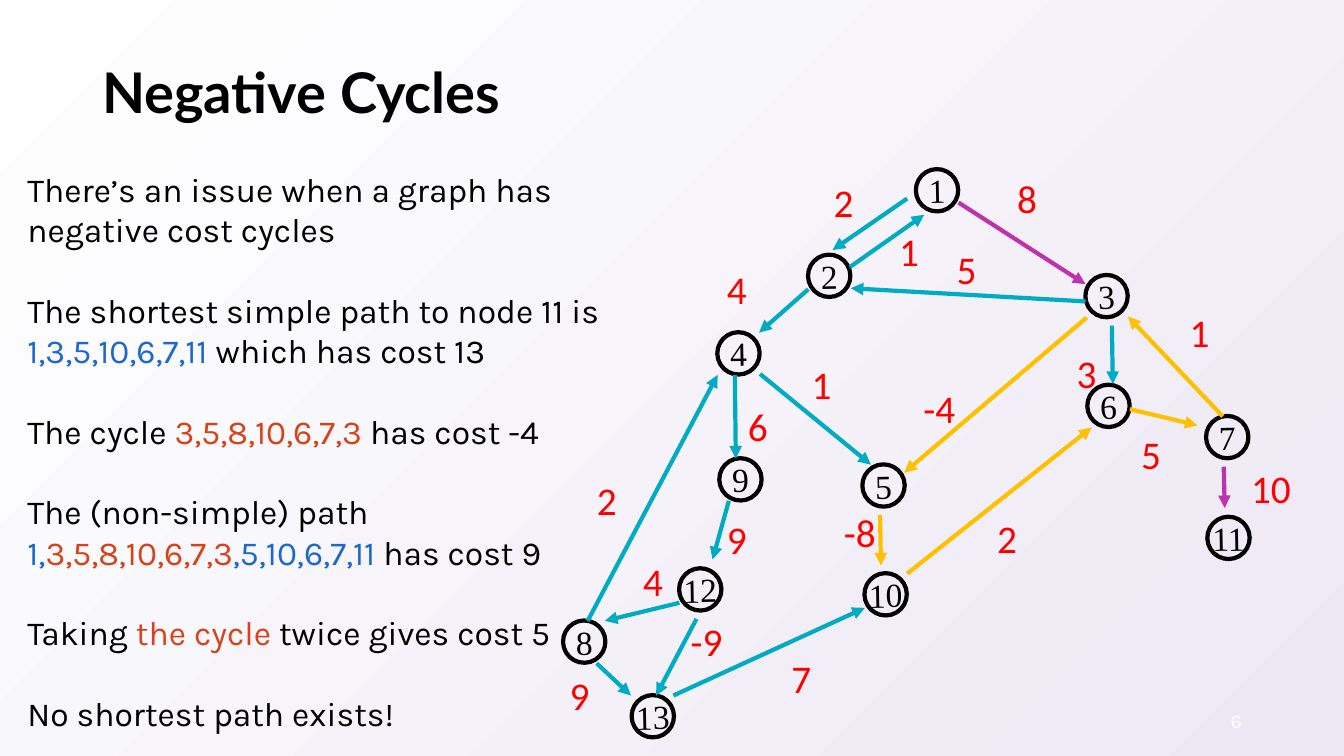
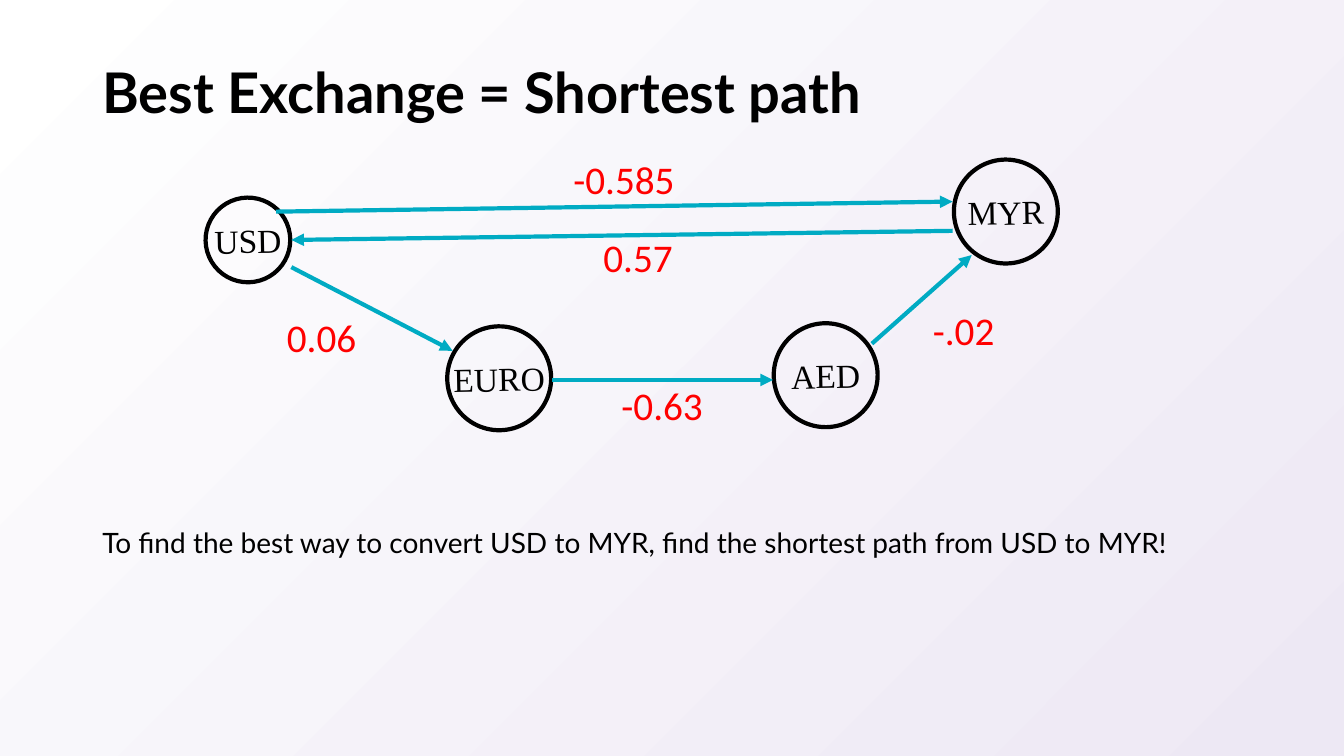
from pptx import Presentation
from pptx.dml.color import RGBColor
from pptx.enum.shapes import MSO_CONNECTOR, MSO_SHAPE
from pptx.enum.text import MSO_ANCHOR, PP_ALIGN
from pptx.oxml.ns import qn
from pptx.util import Pt
from lxml.etree import SubElement

BLACK = RGBColor(0x00, 0x00, 0x00)
WHITE = RGBColor(0xFF, 0xFF, 0xFF)
LILAC = RGBColor(0xED, 0xE8, 0xF4)
RED = RGBColor(0xFF, 0x00, 0x00)
TEAL = RGBColor(0x00, 0xAB, 0xC3)
GOLD = RGBColor(0xFF, 0xC0, 0x00)
PLUM = RGBColor(0xBC, 0x33, 0xAD)
BLUE = RGBColor(0x1E, 0x68, 0xCD)
RUST = RGBColor(0xD6, 0x43, 0x1A)

# Groups of lines; each line is a list of (text, colour) runs.
NOTES = [
    [[("There’s an issue when a graph has negative cost cycles", BLACK)]],
    [[("The shortest simple path to node 11 is", BLACK)],
     [("1,3,5,10,6,7,11 ", BLUE), ("which has cost 13", BLACK)]],
    [[("The cycle ", BLACK), ("3,5,8,10,6,7,3 ", RUST), ("has cost -4", BLACK)]],
    [[("The (non-simple) path", BLACK)],
     [("1,", BLUE), ("3,5,8,10,6,7,3", RUST), (",5,10,6,7,11 ", BLUE),
      ("has cost 9", BLACK)]],
    [[("Taking ", BLACK), ("the cycle", RUST), (" twice gives cost 5", BLACK)]],
    [[("No shortest path exists!", BLACK)]],
]

# Nodes: name, centre, diameter.
SMALL = 30.24
CYCLE_NODES = [
    ("1", (669.3, 135.9), SMALL), ("2", (592.3, 197), SMALL),
    ("3", (790.4, 211.5), SMALL), ("4", (527.5, 252.4), SMALL),
    ("5", (631.1, 346.8), SMALL), ("6", (791.8, 289.9), SMALL),
    ("7", (876.6, 312.2), SMALL), ("8", (417.3, 458.3), SMALL),
    ("9", (528.9, 342.4), SMALL), ("10", (632.6, 424.5), SMALL),
    ("11", (877.5, 384.2), SMALL), ("12", (500.2, 421), SMALL),
    ("13", (466.3, 511.6), SMALL),
]
MONEY_NODES = [
    ("USD", (177.1, 171.4), 60.5), ("EURO", (356.6, 270.2), 74.2),
    ("AED", (589.8, 268), 74.2), ("MYR", (718.5, 151.1), 74.2),
]

# Edges: cost, centre of the cost, start, end, colour.
CYCLE_EDGES = [
    ("2", (602.6, 144.4), (648, 141.8), (594.7, 178.6), TEAL),
    ("1", (649.4, 178.9), (607, 190.8), (660.2, 153.4), TEAL),
    ("8", (733.7, 141.5), (684.7, 144.7), (775.4, 203), PLUM),
    ("4", (526.3, 206.3), (577.4, 206.6), (542.2, 237.6), TEAL),
    ("5", (690.5, 191.9), (775.4, 215.3), (607.7, 205.9), TEAL),
    ("-4", (671, 291.2), (776.2, 226.8), (645.8, 337.7), GOLD),
    ("3", (776.2, 266), (794.2, 232.6), (794.9, 274.3), TEAL),
    ("6", (541.4, 304.2), (524.9, 267.8), (525.6, 327.6), TEAL),
    ("1", (586.8, 274), (542.9, 267.1), (622.1, 331.9), TEAL),
    ("-8", (614.2, 379.8), (628.6, 367.9), (629.3, 403.9), GOLD),
    ("5", (822.2, 324.4), (807.1, 292.3), (855.4, 303.8), GOLD),
    ("1", (856.8, 237.2), (873.4, 297.4), (805.7, 226.1), GOLD),
    ("10", (907.9, 348.5), (874.1, 333.4), (874.8, 362.9), PLUM),
    ("2", (433.4, 356.8), (419.8, 443.5), (512.6, 267.8), TEAL),
    ("9", (414, 496.6), (426.2, 473.8), (450.7, 496.8), TEAL),
    ("9", (526.3, 384.8), (520.6, 357.8), (509, 399.6), TEAL),
    ("2", (719.3, 384.1), (648, 409.7), (779.8, 305.3), GOLD),
    ("4", (466.6, 415.1), (485.3, 430.6), (432, 443.5), TEAL),
    ("-9", (504.7, 457.6), (497.5, 442.1), (468.7, 496.8), TEAL),
    ("7", (572.4, 484.2), (481, 496.8), (617.8, 434.2), TEAL),
]
MONEY_EDGES = [
    ("-0.585", (445.7, 127.8), (197.3, 151.2), (680.4, 144), TEAL),
    ("0.57", (455.8, 183.2), (680.4, 164.9), (208.1, 171.4), TEAL),
    ("0.06", (229.7, 240.8), (208.1, 190.8), (323.3, 250.6), TEAL),
    ("-0.63", (473, 289.1), (394.6, 271.4), (552.2, 271.4), TEAL),
    ("-.02", (688.3, 235.8), (622.8, 245.5), (694.1, 182.2), TEAL),
]


def style(para, name, size, colour, bold=False):
    font = para.font
    font.name, font.size, font.bold = name, Pt(size), bold
    font.color.rgb = colour


def add_box(slide, left, top, width, height):
    box = slide.shapes.add_textbox(Pt(left), Pt(top), Pt(width), Pt(height))
    box.text_frame.word_wrap = True
    return box.text_frame


def centre(frame, text):
    """Write one centred, unwrapped line and return its paragraph."""
    frame.word_wrap = False
    frame.vertical_anchor = MSO_ANCHOR.MIDDLE
    para = frame.paragraphs[0]
    para.text = text
    para.alignment = PP_ALIGN.CENTER
    return para


def add_label(slide, text, spot, name, size, colour):
    """Centre a short text on a spot, in a box as wide as its letters need."""
    width, height = 16 + size * len(text) / 2, 41
    frame = add_box(slide, spot[0] - width / 2, spot[1] - height / 2, width, height)
    style(centre(frame, text), name, size, colour)


def add_node(slide, name, spot, size):
    left, top = (Pt(mid - size / 2) for mid in spot)
    node = slide.shapes.add_shape(MSO_SHAPE.OVAL, left, top, Pt(size), Pt(size))
    node.rotation = 358.9
    node.shadow.inherit = False
    node.fill.background()
    node.line.color.rgb = BLACK
    node.line.width = Pt(3)
    style(centre(node.text_frame, name), "Times New Roman", 24, BLACK)


def add_arrow(slide, start, end, colour):
    ends = [Pt(value) for value in start + end]
    arrow = slide.shapes.add_connector(MSO_CONNECTOR.STRAIGHT, *ends)
    arrow.line.color.rgb = colour
    arrow.line.width = Pt(3)
    props = arrow._element.spPr
    SubElement(props.find(qn("a:ln")), qn("a:tailEnd"), type="triangle")
    SubElement(props, qn("a:effectLst"))


def add_graph(slide, nodes, edges):
    for node in nodes:
        add_node(slide, *node)
    for cost, spot, start, end, colour in edges:
        add_arrow(slide, start, end, colour)
        add_label(slide, cost, spot, "Calibri", 28, RED)


def add_slide(deck, title):
    slide = deck.slides.add_slide(deck.slide_layouts[6])
    frame = add_box(slide, 66, 28.8, 828, 78.5)
    frame.vertical_anchor = MSO_ANCHOR.MIDDLE
    para = frame.paragraphs[0]
    para.text = title
    para.line_spacing = 0.9
    style(para, "Lato", 40, BLACK, bold=True)
    return slide


def add_notes(slide):
    frame = add_box(slide, 12.5, 117, 426, 414.7)
    para = frame.paragraphs[0]
    for group, lines in enumerate(NOTES):
        for row, runs in enumerate(lines):
            if group or row:
                para = frame.add_paragraph()
            if group and not row:
                para.space_before = Pt(28.8)
            style(para, "Karla", 24, BLACK)
            for text, colour in runs:
                run = para.add_run()
                run.text = text
                run.font.color.rgb = colour


def set_back(deck):
    fill = deck.slide_master.background.fill
    fill.gradient()
    fill.gradient_angle = 315
    for stop, colour in zip(fill.gradient_stops, (WHITE, LILAC)):
        stop.color.rgb = colour


def main():
    deck = Presentation()
    deck.slide_width, deck.slide_height = Pt(960), Pt(540)
    set_back(deck)

    slide = add_slide(deck, "Negative Cycles")
    add_graph(slide, CYCLE_NODES, CYCLE_EDGES)
    add_notes(slide)
    add_label(slide, "6", (883, 515), "Karla", 14, WHITE)

    slide = add_slide(deck, "Best Exchange = Shortest path")
    add_graph(slide, MONEY_NODES, MONEY_EDGES)
    para = add_box(slide, 66, 365.8, 800, 34.6).paragraphs[0]
    para.text = ("To find the best way to convert USD to MYR, "
                 "find the shortest path from USD to MYR!")
    para.line_spacing = 1.25
    style(para, "Lato", 20, BLACK)

    deck.save("out.pptx")


if __name__ == "__main__":
    main()
